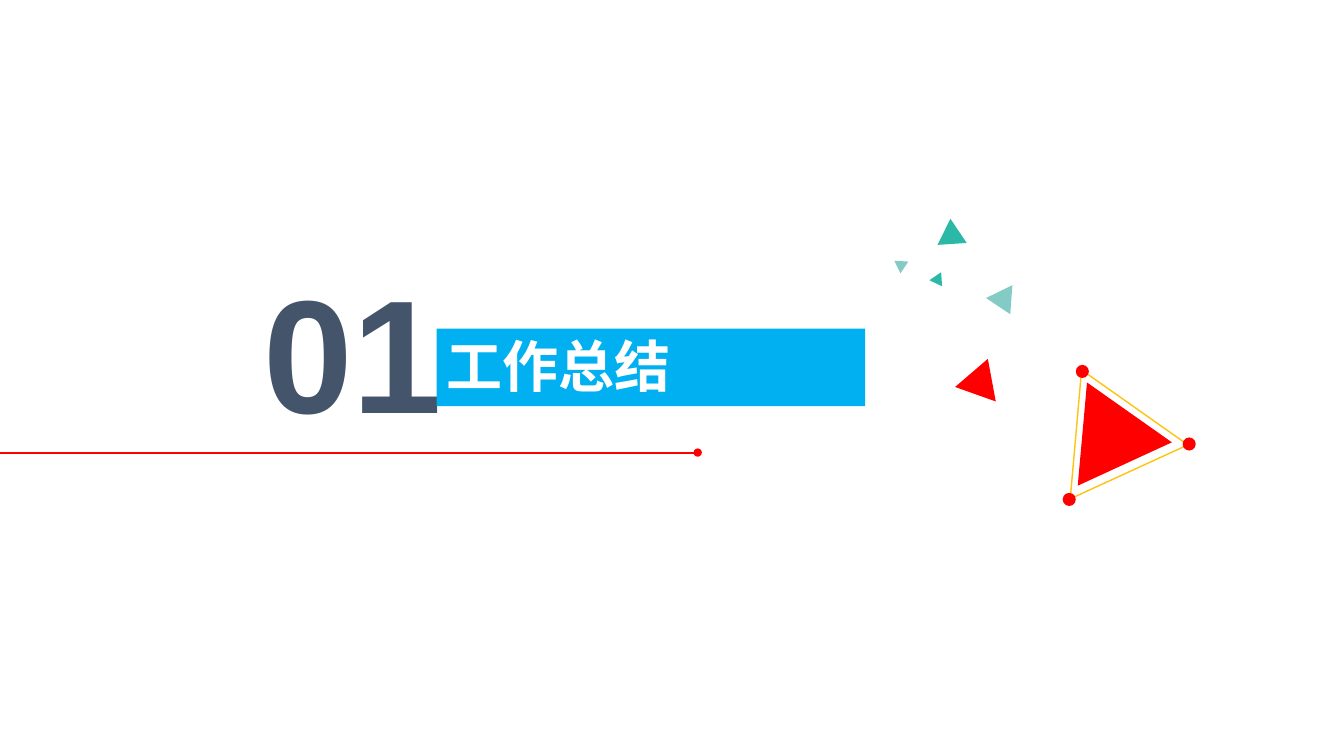
from dataclasses import dataclass

from lxml import etree
from pptx import Presentation
from pptx import util as u
from pptx.dml.color import RGBColor
from pptx.enum import shapes, text
from pptx.oxml.ns import qn

PX = 9144
HUES = {
    "red": "FF0000",
    "blue": "00B0F0",
    "slate": "44546A",
    "teal": "29B9A6",
    "mist": "84CBC5",
    "gold": "FFC20F",
    "white": "FFFFFF",
}
KIND = shapes.MSO_SHAPE


@dataclass
class Box:
    left: int
    top: int
    width: int
    height: int

    def emu(self) -> list[int]:
        return [n * PX for n in (self.left, self.top, self.width, self.height)]


@dataclass
class Form:
    box: Box
    fill: str = ""
    turn: float = 0
    kind: KIND = KIND.ISOSCELES_TRIANGLE
    line: str = ""


@dataclass
class Label:
    words: str
    size: int
    font: str
    hue: str
    align: text.PP_ALIGN
    pads: tuple[int, int, int, int]
    wrap: bool


def tint(name: str) -> RGBColor:
    return RGBColor.from_string(HUES[name])


def draw(slide, form: Form):
    shape = slide.shapes.add_shape(form.kind, *form.box.emu())
    shape.shadow.inherit = False
    shape.rotation = form.turn
    if form.fill:
        shape.fill.solid()
        shape.fill.fore_color.rgb = tint(form.fill)
    else:
        shape.fill.background()
    if form.line:
        shape.line.color.rgb = tint(form.line)
        shape.line.width = u.Pt(1)
    else:
        shape.line.fill.background()
    return shape


def write(shape, label: Label) -> None:
    frame = shape.text_frame
    frame.word_wrap = label.wrap
    frame.auto_size = text.MSO_AUTO_SIZE.NONE
    frame.vertical_anchor = text.MSO_ANCHOR.MIDDLE
    left, top, right, low = (n * PX for n in label.pads)
    frame.margin_left, frame.margin_top = left, top
    frame.margin_right, frame.margin_bottom = right, low
    para = frame.paragraphs[0]
    para.alignment = label.align
    run = para.add_run()
    run.text = label.words
    run.font.size = u.Pt(label.size)
    run.font.bold = True
    run.font.name = label.font
    run.font.color.rgb = tint(label.hue)
    east = etree.SubElement(run.font._element, qn("a:ea"))
    east.set("typeface", label.font)


def rule(slide, start: int, end: int, top: int) -> None:
    line = slide.shapes.add_connector(
        shapes.MSO_CONNECTOR.STRAIGHT, start * PX, top * PX, end * PX, top * PX
    )
    line.line.color.rgb = tint("red")
    line.line.width = u.Pt(1.5)
    props = line._element.spPr
    head = etree.SubElement(props.find(qn("a:ln")), qn("a:headEnd"))
    head.set("type", "oval")
    etree.SubElement(props, qn("a:effectLst"))


NUMBER = Label("01", 115, "Arial", "slate", text.PP_ALIGN.CENTER, (0, 20, 0, 0), False)
TITLE = Label(
    "工作总结", 40, "Noto Sans CJK SC", "white", text.PP_ALIGN.JUSTIFY, (10, 0, 10, 4), True
)
BANNER = Form(Box(433, 326, 425, 77), "blue", kind=KIND.RECTANGLE)
DOTS = [
    Form(Box(left, top, 13, 13), "red", kind=KIND.OVAL)
    for left, top in ((1173, 434), (1054, 489), (1067, 362))
]
FORMS = [
    Form(Box(982, 288, 29, 25), "mist", 153.9),
    Form(Box(944, 362, 43, 37), "red", 259.5),
    Form(Box(929, 217, 29, 25), "teal", 356.2),
    Form(Box(1043, 401, 103, 89), "red", 215.2),
    Form(Box(1029, 394, 129, 111), turn=215.2, line="gold"),
    *DOTS,
    Form(Box(885, 256, 14, 12), "mist", 303.5),
    Form(Box(924, 273, 14, 12), "teal", 145.8),
]


def main() -> None:
    deck = Presentation()
    deck.slide_width, deck.slide_height = 1333 * PX, 750 * PX
    slide = deck.slides.add_slide(deck.slide_layouts[6])
    write(slide.shapes.add_textbox(*Box(260, 239, 180, 194).emu()), NUMBER)
    write(draw(slide, BANNER), TITLE)
    for form in FORMS:
        draw(slide, form)
    rule(slide, 692, 0, 449)
    deck.save("out.pptx")


if __name__ == "__main__":
    main()
